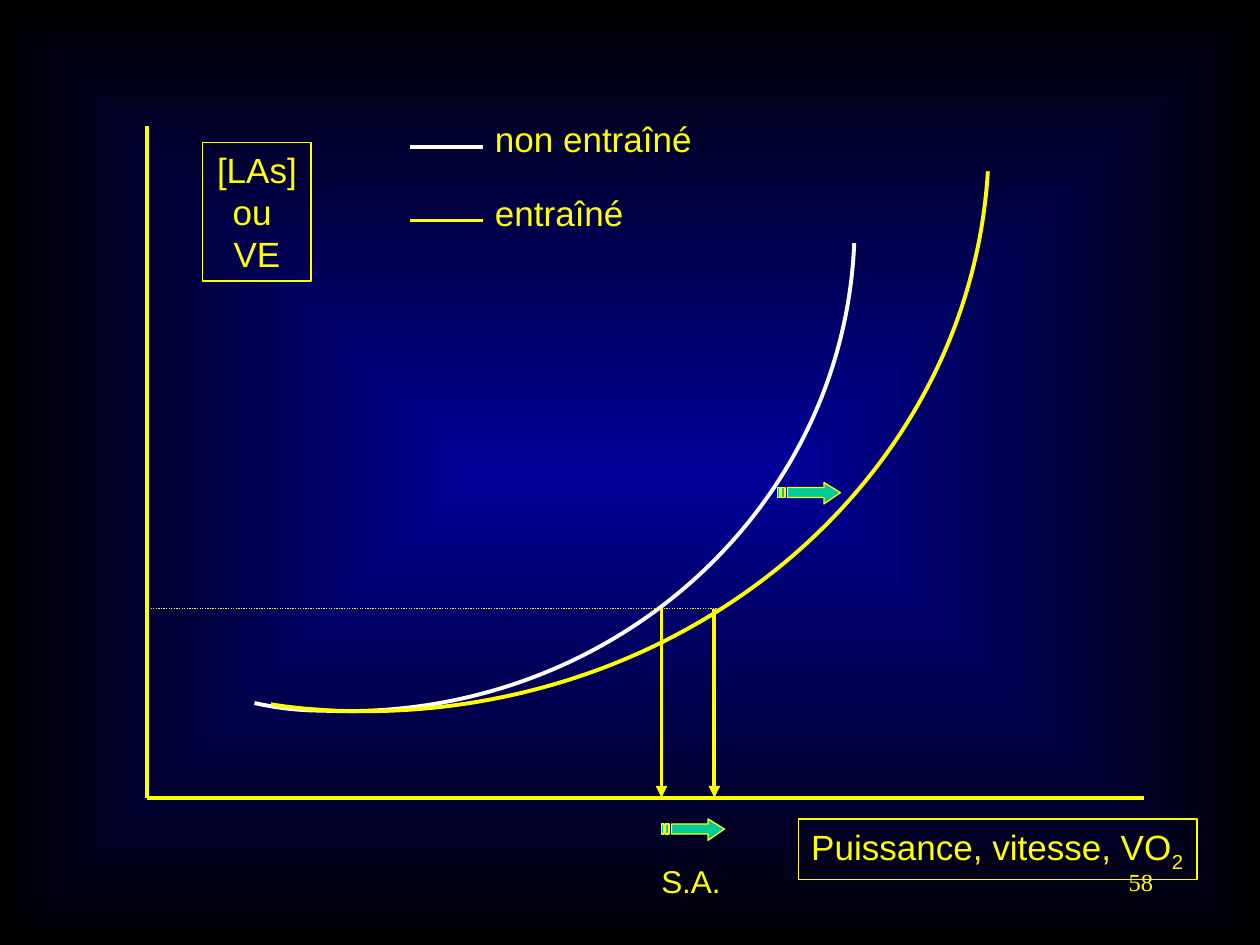
from lxml import etree
from pptx import Presentation
from pptx.dml.color import RGBColor
from pptx.enum.dml import MSO_LINE
from pptx.enum.shapes import MSO_CONNECTOR
from pptx.enum.text import MSO_AUTO_SIZE, PP_ALIGN
from pptx.oxml.ns import qn
from pptx.util import Inches, Pt

YELLOW = RGBColor(0xFF, 0xFF, 0x00)
WHITE = RGBColor(0xFF, 0xFF, 0xFF)
GREEN = RGBColor(0x00, 0xCC, 0x99)
NAVY = RGBColor(0x00, 0x00, 0x99)
BLACK = RGBColor(0x00, 0x00, 0x00)

THICK, THIN = 2.25, 0.75
AXIS_X, AXIS_TOP, AXIS_Y, AXIS_RIGHT = 1.17, 1, 6.33, 9.08
THRESHOLD_Y = 4.83
SUBSCRIPT = -25000


def to_emu(points):
    return [(Inches(x), Inches(y)) for x, y in points]


class SlideBuilder:
    def __init__(self, slide, font="Arial", color=YELLOW):
        self.slide = slide
        self.font = font
        self.color = color

    def background(self, center, edge):
        """Fill the slide with a rectangular gradient running out from its middle."""
        fill = self.slide.background.fill
        fill.gradient()
        for stop, color, position in zip(fill.gradient_stops, (center, edge), (0, 1)):
            stop.color.rgb = color
            stop.position = position
        gradient = self.slide.background._cSld.find(".//" + qn("a:gradFill"))
        linear = gradient.find(qn("a:lin"))
        rectangular = etree.Element(qn("a:path"), {"path": "rect"})
        etree.SubElement(rectangular, qn("a:fillToRect"),
                         {side: "50000" for side in "ltrb"})
        gradient.replace(linear, rectangular)

    def line(self, start, end, color=None, width=THICK, dash=None, arrow=False):
        connector = self.slide.shapes.add_connector(
            MSO_CONNECTOR.STRAIGHT, *map(Inches, (*start, *end)))
        connector.line.color.rgb = color or self.color
        connector.line.width = Pt(width)
        if dash:
            connector.line.dash_style = dash
        if arrow:
            etree.SubElement(connector.line._get_or_add_ln(), qn("a:tailEnd"),
                             {"type": "triangle"})
        etree.SubElement(connector._element.spPr, qn("a:effectLst"))

    def curve(self, points, color):
        """Draw Bézier segments: a start, then two controls and an end for each."""
        start, *rest = to_emu(points)
        builder = self.slide.shapes.build_freeform(*start)
        builder.add_line_segments(rest, close=False)
        shape = builder.convert_to_shape()
        outline = shape._element.spPr.find(".//" + qn("a:path"))
        segments = outline.findall(qn("a:lnTo"))
        for first in range(0, len(segments), 3):
            bezier = etree.SubElement(outline, qn("a:cubicBezTo"))
            for segment in segments[first:first + 3]:
                bezier.append(segment[0])
                outline.remove(segment)
        shape.shadow.inherit = False
        shape.fill.background()
        shape.line.color.rgb = color
        shape.line.width = Pt(THICK)

    def striped_arrow(self, left, top):
        """Draw a block arrow to the right with two stripes at its tail."""
        upper, lower = 0.04, 0.12
        head = [(0.37, 0), (0.37, upper), (0.08, upper), (0.08, lower),
                (0.37, lower), (0.37, 0.17), (0.5, 0.08)]
        stripes = [[(a, upper), (a, lower), (b, lower), (b, upper)]
                   for a, b in ((0.03, 0.06), (0, 0.02))]
        builder = None
        for contour in (head, *stripes):
            start, *rest = to_emu((left + x, top + y) for x, y in contour)
            if builder is None:
                builder = self.slide.shapes.build_freeform(*start)
            else:
                builder.move_to(*start)
            builder.add_line_segments(rest, close=True)
        shape = builder.convert_to_shape()
        shape.shadow.inherit = False
        shape.fill.solid()
        shape.fill.fore_color.rgb = GREEN
        shape.line.color.rgb = self.color
        shape.line.width = Pt(THIN)

    def text(self, box, paragraphs, size=20, font=None, align=PP_ALIGN.LEFT,
             wrap=False, border=False):
        """Add a text box; each paragraph is a list of (text, baseline) runs."""
        shape = self.slide.shapes.add_textbox(*map(Inches, box))
        frame = shape.text_frame
        frame.word_wrap = wrap
        frame.auto_size = MSO_AUTO_SIZE.NONE if wrap else MSO_AUTO_SIZE.SHAPE_TO_FIT_TEXT
        if border:
            shape.line.color.rgb = self.color
            shape.line.width = Pt(THIN)
        for index, runs in enumerate(paragraphs):
            paragraph = frame.add_paragraph() if index else frame.paragraphs[0]
            paragraph.alignment = align
            for content, baseline in runs:
                run = paragraph.add_run()
                run.text = content
                run.font.name = font or self.font
                run.font.size = Pt(size)
                run.font.color.rgb = self.color
                if baseline:
                    run.font._element.set("baseline", str(baseline))


def main():
    presentation = Presentation()
    presentation.slide_width, presentation.slide_height = Inches(10), Inches(7.5)
    slide = presentation.slides.add_slide(presentation.slide_layouts[6])
    builder = SlideBuilder(slide)
    builder.background(NAVY, BLACK)

    builder.text((7.17, 6.83, 2.08, 0.5), [[("58", 0)]], size=14,
                 font="Times New Roman", align=PP_ALIGN.RIGHT, wrap=True)

    origin = (AXIS_X, AXIS_Y)
    builder.line((AXIS_X, AXIS_TOP), origin)
    builder.line(origin, (AXIS_RIGHT, AXIS_Y))

    builder.curve([(6.78, 1.93), (6.69, 4.08), (4.8, 5.74), (2.56, 5.64),
                   (2.38, 5.64), (2.2, 5.62), (2.02, 5.58)], WHITE)
    builder.curve([(7.84, 1.36), (7.69, 3.85), (5.38, 5.76), (2.64, 5.64),
                   (2.48, 5.63), (2.32, 5.62), (2.15, 5.59)], YELLOW)

    for threshold_x in (5.25, 5.67):
        builder.line((threshold_x, THRESHOLD_Y), (threshold_x, AXIS_Y), arrow=True)
    builder.line((5.75, THRESHOLD_Y), (AXIS_X, THRESHOLD_Y), width=THIN,
                 dash=MSO_LINE.ROUND_DOT)

    builder.striped_arrow(6.17, 3.83)
    builder.text((1.61, 1.13, 0.86, 1.1), [[("[LAs]", 0)], [("ou ", 0)], [("VE", 0)]],
                 align=PP_ALIGN.CENTER, border=True)
    builder.text((6.34, 6.5, 3.16, 0.48),
                 [[("Puissance, vitesse, VO", 0), ("2", SUBSCRIPT)]], border=True)
    builder.striped_arrow(5.25, 6.5)
    builder.text((5.15, 6.79, 0.67, 0.4), [[("S.A.", 0)]], size=18)

    legend = [("non entraîné", WHITE, 1.17, 0.88, 1.76),
              ("entraîné", YELLOW, 1.75, 1.47, 1.22)]
    for label, color, line_y, text_top, width in legend:
        builder.line((3.25, line_y), (3.83, line_y), color)
        builder.text((3.83, text_top, width, 0.44), [[(label, 0)]])

    presentation.save("out.pptx")


if __name__ == "__main__":
    main()
